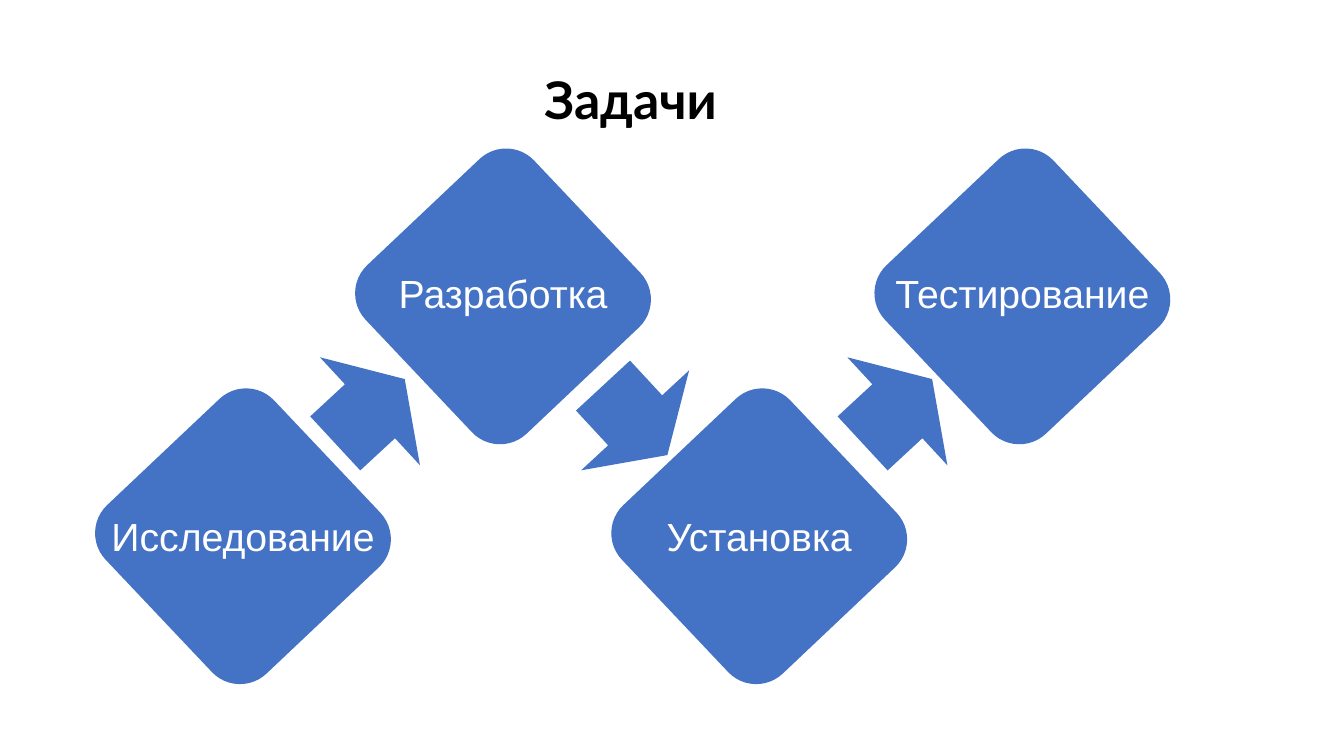
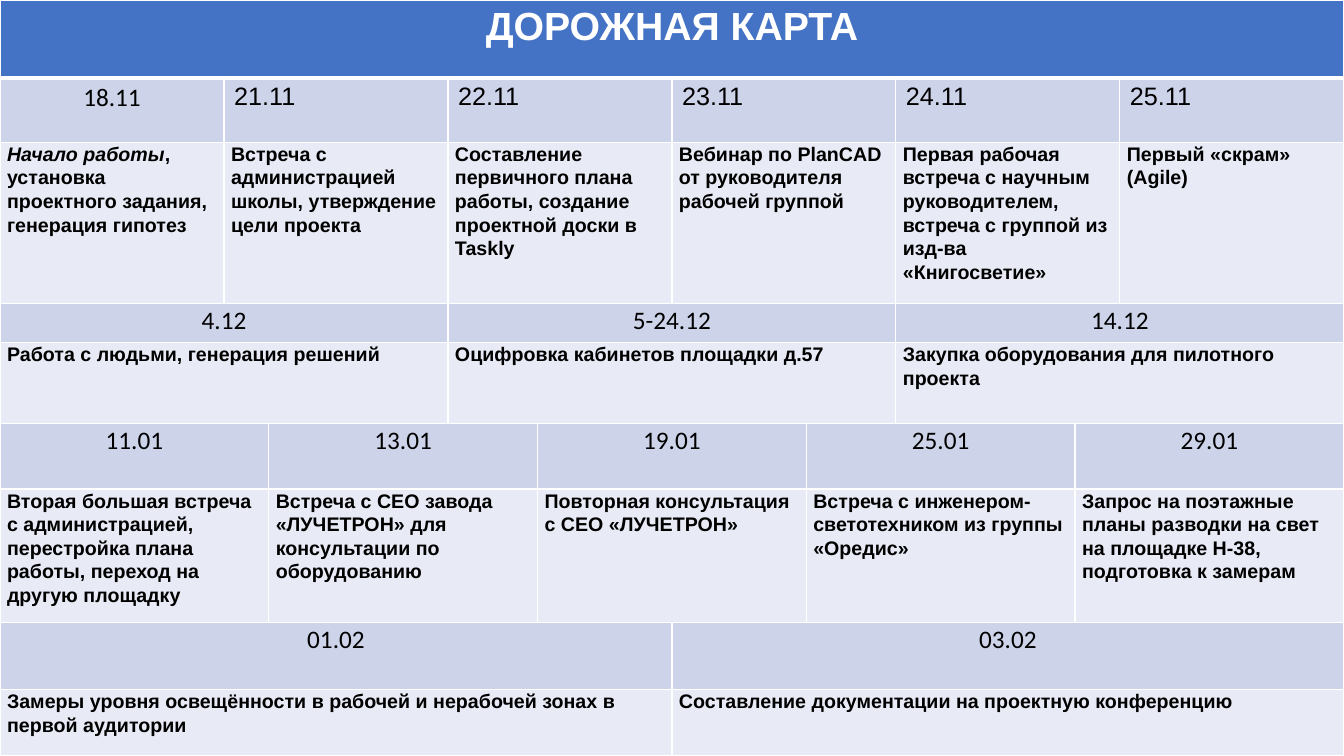
"""Build a task flow slide and a road map slide."""
import itertools
from dataclasses import dataclass
from typing import NamedTuple

import lxml.etree
import pptx
import pptx.dml.color
import pptx.enum.shapes
import pptx.enum.text
import pptx.oxml.ns
import pptx.shapes.autoshape
import pptx.slide
import pptx.table
import pptx.text.text
import pptx.util

SHAPE = pptx.enum.shapes.MSO_SHAPE
ALIGN = pptx.enum.text.PP_ALIGN
WIDTH = pptx.util.Inches(13.33)
HEIGHT = pptx.util.Inches(7.5)
UNITS = 30


class TextStyle(NamedTuple):
    font: str
    size: int
    color: str
    bold: bool = False
    align: ALIGN = ALIGN.LEFT
    spacing: float = 1.0


@dataclass(frozen=True)
class Theme:
    accent: str = "4472C4"
    date_fill: str = "CDD4EA"
    body_fill: str = "E8EBF5"
    border: str = "FFFFFF"
    thin: int = 1
    thick: int = 3
    title: TextStyle = TextStyle("Lato", 37, "000000", True, ALIGN.CENTER, 0.8)
    label: TextStyle = TextStyle("Arial", 28, "FFFFFF", align=ALIGN.CENTER)
    header: TextStyle = TextStyle("Arial", 28, "FFFFFF", True, ALIGN.CENTER)
    first_date: TextStyle = TextStyle("Calibri", 18, "000000", align=ALIGN.CENTER)
    plain_date: TextStyle = TextStyle("Arial", 18, "000000")
    date: TextStyle = TextStyle("Calibri", 18, "000000", False, ALIGN.CENTER, 1.07)
    body: TextStyle = TextStyle("Arial", 14, "000000", True, spacing=1.07)


class Box(NamedTuple):
    """Centre and size as percentages of the slide."""
    cx: float
    cy: float
    w: float
    h: float

    def emu(self) -> tuple[int, int, int, int]:
        return (int(WIDTH * (self.cx - self.w / 2) / 100),
                int(HEIGHT * (self.cy - self.h / 2) / 100),
                int(WIDTH * self.w / 100), int(HEIGHT * self.h / 100))


class Step(NamedTuple):
    name: str
    cx: float
    cy: float
    label_cy: float


class Arrow(NamedTuple):
    cx: float
    cy: float
    angle: float


class Event(NamedTuple):
    date: str
    text: str
    lead: str = ""


class Phase(NamedTuple):
    date_height: float
    text_height: float
    events: tuple[Event, ...]


class CellLook(NamedTuple):
    fill: str
    style: TextStyle
    margin_x: float = 0.07
    margin_y: float = 0
    top: int = 1
    bottom: int = 1


THEME = Theme()
LOW, HIGH = 70.93, 39.2
STEPS = (
    Step("Исследование", 18.08, LOW, LOW),
    Step("Разработка", 37.43, HIGH, 38.73),
    Step("Установка", 56.49, LOW, LOW),
    Step("Тестирование", 76.07, HIGH, 38.73),
)
ARROWS = (Arrow(27.53, 54.4, 317.2), Arrow(47.26, 55.6, 47.2), Arrow(66.77, 54.4, 317.2))
HEADER_HEIGHT = 10.3
PHASES = (
    Phase(8.5, 21.3, (
        Event("18.11", ", установка проектного задания, генерация гипотез", "Начало работы"),
        Event("21.11", "Встреча с администрацией школы, утверждение цели проекта"),
        Event("22.11", "Составление первичного плана работы, создание проектной доски в Taskly"),
        Event("23.11", "Вебинар по PlanCAD от руководителя рабочей группой"),
        Event("24.11", "Первая рабочая встреча с научным руководителем, "
                       "встреча с группой из изд-ва «Книгосветие»"),
        Event("25.11", "Первый «скрам» (Agile)"),
    )),
    Phase(5.2, 10.7, (
        Event("4.12", "Работа с людьми, генерация решений"),
        Event("5-24.12", "Оцифровка кабинетов площадки д.57"),
        Event("14.12", "Закупка оборудования для пилотного проекта"),
    )),
    Phase(8.7, 17.7, (
        Event("11.01", "Вторая большая встреча с администрацией, "
                       "перестройка плана работы, переход на другую площадку"),
        Event("13.01", "Встреча с CEO завода «ЛУЧЕТРОН» для консультации по оборудованию"),
        Event("19.01", "Повторная консультация с CEO «ЛУЧЕТРОН»"),
        Event("25.01", "Встреча с инженером-светотехником из группы «Оредис»"),
        Event("29.01", "Запрос на поэтажные планы разводки на свет "
                       "на площадке Н-38, подготовка к замерам"),
    )),
    Phase(8.8, 8.8, (
        Event("01.02", "Замеры уровня освещённости в рабочей и нерабочей зонах в первой аудитории"),
        Event("03.02", "Составление документации на проектную конференцию"),
    )),
)


def rgb(color: str) -> pptx.dml.color.RGBColor:
    return pptx.dml.color.RGBColor.from_string(color)


def write(tf: pptx.text.text.TextFrame, text: str, style: TextStyle, lead: str = "") -> None:
    p = tf.paragraphs[0]
    p.text = lead or text
    if lead:
        p.runs[0].font.italic = True
        p.add_run().text = text
    p.alignment = style.align
    p.line_spacing = style.spacing
    for r in p.runs:
        r.font.name = style.font
        r.font.size = pptx.util.Pt(style.size)
        r.font.bold = style.bold
        r.font.color.rgb = rgb(style.color)


def add_text(s: pptx.slide.Slide, box: Box, text: str, style: TextStyle) -> None:
    tf = s.shapes.add_textbox(*box.emu()).text_frame
    tf.word_wrap = False
    write(tf, text, style)


def add_block(s: pptx.slide.Slide, kind: SHAPE, box: Box, angle: float) -> None:
    sp = s.shapes.add_shape(kind, *box.emu())
    sp.rotation = angle
    sp.shadow.inherit = False
    sp.fill.solid()
    sp.fill.fore_color.rgb = rgb(THEME.accent)
    sp.line.fill.background()


def add_borders(cell: pptx.table._Cell, top: int, bottom: int) -> None:
    qn = pptx.oxml.ns.qn
    props = cell._tc.get_or_add_tcPr()
    widths = {"lnL": THEME.thin, "lnR": THEME.thin, "lnT": top, "lnB": bottom}
    for side, width in widths.items():
        line = lxml.etree.SubElement(props, qn(f"a:{side}"), w=str(pptx.util.Pt(width)))
        fill = lxml.etree.SubElement(line, qn("a:solidFill"))
        lxml.etree.SubElement(fill, qn("a:srgbClr"), val=THEME.border)


def fill_cell(cell: pptx.table._Cell, look: CellLook, text: str, lead: str = "") -> None:
    cell.margin_left = cell.margin_right = pptx.util.Inches(look.margin_x)
    cell.margin_top = cell.margin_bottom = pptx.util.Inches(look.margin_y)
    add_borders(cell, look.top, look.bottom)
    cell.fill.solid()
    cell.fill.fore_color.rgb = rgb(look.fill)
    write(cell.text_frame, text, look.style, lead)


def date_look(phase_no: int, event_no: int) -> CellLook:
    if phase_no:
        return CellLook(THEME.date_fill, THEME.date)
    style = THEME.plain_date if event_no else THEME.first_date
    return CellLook(THEME.date_fill, style, 0.1, 0.05, top=THEME.thick)


def add_road_map(s: pptx.slide.Slide) -> None:
    edges = sorted({UNITS * i // len(phase.events)
                    for phase in PHASES for i in range(len(phase.events) + 1)})
    heights = [HEADER_HEIGHT]
    for phase in PHASES:
        heights += [phase.date_height, phase.text_height]
    table = s.shapes.add_table(len(heights), len(edges) - 1, 0, 0, WIDTH, HEIGHT).table
    for column, (left, right) in zip(table.columns, itertools.pairwise(edges)):
        column.width = int(WIDTH * (right - left) / UNITS)
    for row, height in zip(table.rows, heights):
        row.height = int(HEIGHT * height / 100)

    def span(row: int, index: int, count: int) -> pptx.table._Cell:
        first = edges.index(UNITS * index // count)
        last = edges.index(UNITS * (index + 1) // count) - 1
        cell = table.cell(row, first)
        if last > first:
            cell.merge(table.cell(row, last))
        return cell

    header = CellLook(THEME.accent, THEME.header, 0.1, 0.05, bottom=THEME.thick)
    fill_cell(span(0, 0, 1), header, "ДОРОЖНАЯ КАРТА")
    body = CellLook(THEME.body_fill, THEME.body)
    for phase_no, phase in enumerate(PHASES):
        row, count = 1 + 2 * phase_no, len(phase.events)
        for i, event in enumerate(phase.events):
            fill_cell(span(row, i, count), date_look(phase_no, i), event.date)
            fill_cell(span(row + 1, i, count), body, event.text, event.lead)


def add_task_flow(s: pptx.slide.Slide) -> None:
    add_text(s, Box(46.92, 18, 65.94, 16.27), "Задачи", THEME.title)
    for step in STEPS:
        add_block(s, SHAPE.ROUNDED_RECTANGLE, Box(step.cx, step.cy, 17.25, 30.67), 316.6)
    for arrow in ARROWS:
        add_block(s, SHAPE.RIGHT_ARROW, Box(arrow.cx, arrow.cy, 7.05, 19.47), arrow.angle)
    for step in STEPS:
        add_text(s, Box(step.cx, step.label_cy, 21.45, 7.6), step.name, THEME.label)


def main() -> None:
    prs = pptx.Presentation()
    prs.slide_width, prs.slide_height = WIDTH, HEIGHT
    for draw in (add_task_flow, add_road_map):
        draw(prs.slides.add_slide(prs.slide_layouts[6]))
    prs.save("out.pptx")


if __name__ == "__main__":
    main()
